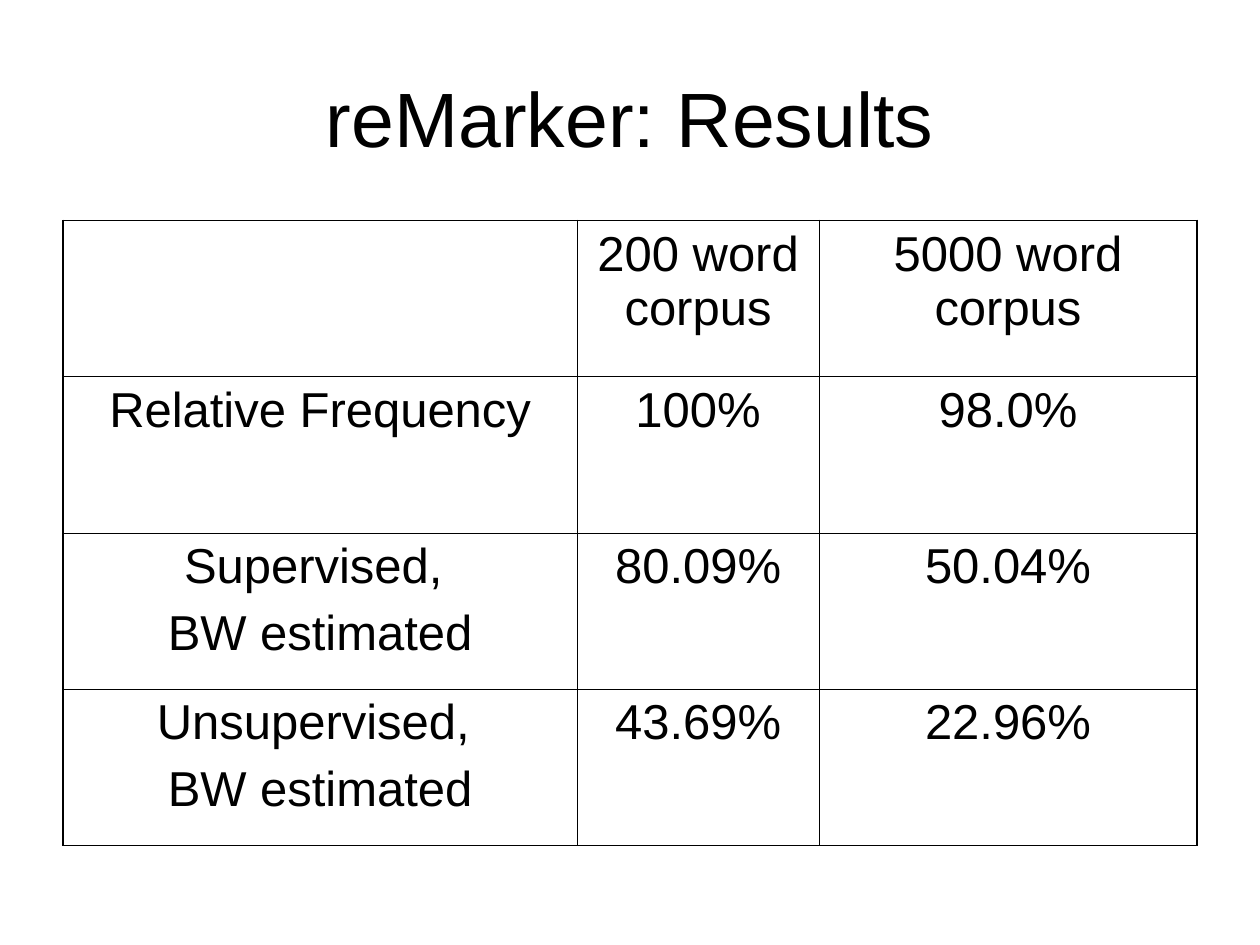
"""Build a results slide with a title and a bordered table."""
import pptx
import pptx.dml.color
import pptx.enum.text
import pptx.oxml
import pptx.oxml.ns
import pptx.util

Inches = pptx.util.Inches
Pt = pptx.util.Pt
hues = {"ink": "000000", "page": "FFFFFF"}
ink = pptx.dml.color.RGBColor.from_string(hues["ink"])
mid = pptx.enum.text.PP_ALIGN.CENTER
rows = [
    ["", "200 word corpus", "5000 word corpus"],
    ["Relative Frequency", "100%", "98.0%"],
    ["Supervised, \nBW estimated", "80.09%", "50.04%"],
    ["Unsupervised, \nBW estimated", "43.69%", "22.96%"],
]
wide = [4.08, 1.92, 3]
thick, thin = 1.08, 0.45


def write(frame, text, size, gap):
    frame.text = text
    for para in frame.paragraphs:
        for key, val in {"alignment": mid, "space_before": Pt(gap)}.items():
            setattr(para, key, val)
        for run in para.runs:
            for key, val in {"name": "Arial", "size": Pt(size)}.items():
                setattr(run.font, key, val)
            run.font.color.rgb = ink


def edge(cell, side, width, spot):
    line = pptx.oxml.parse_xml(
        f'<a:{side} {pptx.oxml.ns.nsdecls("a")} w="{Pt(width)}">'
        f'<a:solidFill><a:srgbClr val="{hues["ink"]}"/></a:solidFill></a:{side}>'
    )
    cell._tc.get_or_add_tcPr().insert(spot, line)


deck = pptx.Presentation()
size = {"slide_width": Inches(10), "slide_height": Inches(7.5)}
for key, val in size.items():
    setattr(deck, key, val)
slide = deck.slides.add_slide(deck.slide_layouts[6])
back = slide.background.fill
back.solid()
back.fore_color.rgb = pptx.dml.color.RGBColor.from_string(hues["page"])

title = slide.shapes.add_textbox(Inches(0.5), Inches(0.3), Inches(9), Inches(1.25))
form = {"word_wrap": True, "vertical_anchor": pptx.enum.text.MSO_ANCHOR.MIDDLE}
for key, val in form.items():
    setattr(title.text_frame, key, val)
write(title.text_frame, "reMarker: Results", 44, 0)

table = slide.shapes.add_table(
    len(rows), len(wide), Inches(0.5), Inches(1.75), Inches(9), Inches(4.96)
).table
for key, val in {"first_row": False, "horz_banding": False}.items():
    setattr(table, key, val)
for col, width in zip(table.columns, wide):
    col.width = Inches(width)
for row in table.rows:
    row.height = Inches(1.24)

for r, row in enumerate(rows):
    for c, text in enumerate(row):
        cell = table.cell(r, c)
        cell.fill.background()
        write(cell.text_frame, text, 28, 7)
        outer = {
            "lnL": c == 0,
            "lnR": c == len(wide) - 1,
            "lnT": r == 0,
            "lnB": r == len(rows) - 1,
        }
        for spot, (side, out) in enumerate(outer.items()):
            edge(cell, side, thick if out else thin, spot)

deck.save("out.pptx")
